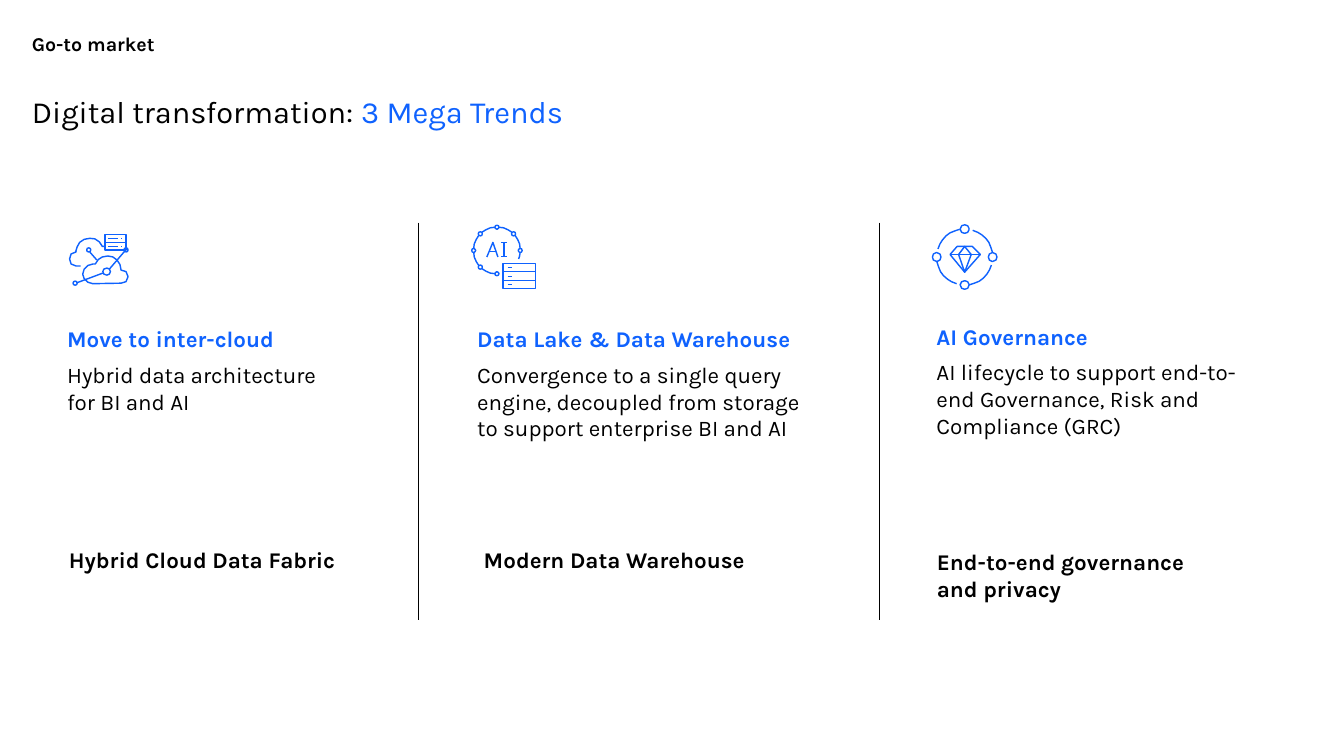
from math import ceil, cos, radians, sin

from lxml import etree
from pptx import Presentation
from pptx.dml.color import RGBColor
from pptx.enum.shapes import MSO_CONNECTOR
from pptx.enum.text import MSO_ANCHOR, MSO_AUTO_SIZE, PP_ALIGN
from pptx.oxml.ns import qn
from pptx.util import Pt

STRAIGHT = MSO_CONNECTOR.STRAIGHT
TOP, LEFT, FIXED = MSO_ANCHOR.TOP, PP_ALIGN.LEFT, MSO_AUTO_SIZE.NONE

# Content: a paragraph is a list of (text, colour, bold) runs
FONT = "Karla"
COLORS = {"black": "000000", "blue": "0F62FE"}
HEADER = [[("Go-to market", "black", True)]]
TITLE = [[("Digital transformation: ", "black", False),
          ("3 Mega Trends", "blue", False)]]
TRENDS = [
    {"head": "Move to inter-cloud",
     "body": "Hybrid data architecture for BI and AI",
     "label": "Hybrid Cloud Data Fabric",
     "text at": (95.8, 465, 396, 345), "label at": (91.4, 777, 396, 46),
     "icon": "cloud", "icon at": (98, 334)},
    {"head": "Data Lake & Data Warehouse",
     "body": "Convergence to a single query engine, decoupled from storage "
             "to support enterprise BI and AI",
     "label": "Modern Data Warehouse",
     "text at": (681.8, 465, 490, 343), "label at": (684, 777, 396, 46),
     "icon": "server", "icon at": (672.5, 320.4)},
    {"head": "AI Governance",
     "body": "AI lifecycle to support end-to-end Governance, Risk and "
             "Compliance (GRC)",
     "label": "End-to-end governance and privacy",
     "text at": (1337.8, 461.5, 461.5, 345.6),
     "label at": (1331.3, 779, 396, 85),
     "icon": "gem", "icon at": (1331.3, 320.4)},
]
DIVIDERS = (597.6, 1256.4)
SPAN = (318.2, 885.6)


# Outlines for the icons, as lists of points on a 0.72 pt grid
def arc(x, y, r, start, end):
    sweep = radians(end - start)
    steps = ceil(max((end - start) / 45, r * sweep / 12))
    turns = [radians(start) + sweep * i / steps for i in range(steps + 1)]
    return [(x + r * cos(t), y + r * sin(t)) for t in turns]


def ring(x, y, r):
    return arc(x, y, r, 0, 360)


def box(x, y, right, low):
    return [(x, y), (right, y), (right, low), (x, low), (x, y)]


def dash(x, right, y):
    return [(x, y), (right, y)]


def cloud():
    front = (arc(48, 79.5, 19.5, 90, 270) + arc(77, 71, 27, 205, 360)
             + arc(104, 85, 13.5, -90, 90))
    back = ([(24, 63.5)] + arc(15, 50, 13.5, 90, 270)
            + arc(42, 36, 27.5, 180, 336) + [(71, 25)])
    rack = [box(71.5, 1, 114, 32.5), dash(71.5, 114, 17)]
    for y in (9, 25):
        rack += [dash(79, 98, y), dash(105, 107, y)]
    nodes = [ring(x, y, 4) for x, y in ((114, 32), (40, 32), (13, 98))]
    links = [[(17, 97), (68, 78)], [(81, 70), (111, 35)], [(42, 36), (56, 52)]]
    return [front + front[:1], back, ring(75.5, 75, 7.5)] + rack + nodes + links


def server():
    mid, r, gap = 52, 46.5, 5.5
    stops = (90, 135, 180, 225, 270, 315, 360)
    lines = [arc(mid, mid, r, a + gap, b - gap)
             for a, b in zip(stops, stops[1:])]
    lines.append(arc(mid, mid, r, gap, 22))
    for a in stops:
        lines.append(ring(mid + r * cos(radians(a)),
                          mid + r * sin(radians(a)), 4))
    # Letters
    lines += [[(32.5, 65), (43.5, 36), (54.5, 65)], dash(37, 50, 54.5),
              dash(60, 72, 36.5), [(66, 36.5), (66, 63.5)], dash(60, 72, 63.5)]
    # Rack of three units
    lines.append(box(64.5, 77.5, 128.5, 128.5))
    lines += [dash(64.5, 128.5, 77.5 + 17 * i) for i in (1, 2)]
    return lines + [dash(73, 82, 86.5 + 17 * i) for i in range(3)]


def gem():
    mid, r = 65, 55.5
    lines = [arc(mid, mid, r, a, a + 63) for a in (17, 107, 197, 287)]
    lines += [ring(mid + x * r, mid + y * r, 8.5)
              for x, y in ((1, 0), (0, 1), (-1, 0), (0, -1))]
    rim = [(35.5, 60.5), (50, 43.5), (80, 43.5), (95.5, 60.5), (65, 95)]
    facet = [(53, 60.5), (65, 95), (78, 60.5), (65, 44), (53, 60.5)]
    return lines + [rim + rim[:1], facet, dash(35.5, 95.5, 60.5)]


ICONS = {"cloud": cloud, "server": server, "gem": gem}


def tint(name):
    return RGBColor.from_string(COLORS[name])


def write(shape, paras, size, inset=(0, 0)):
    frame = shape.text_frame
    frame.word_wrap, frame.auto_size = True, FIXED
    frame.vertical_anchor = TOP
    frame.margin_left = frame.margin_right = Pt(inset[0])
    frame.margin_top = frame.margin_bottom = Pt(inset[1])
    for i, runs in enumerate(paras):
        para = frame.add_paragraph() if i else frame.paragraphs[0]
        para.alignment = LEFT
        para.space_before = Pt(12 if i else 0)
        for text, color, bold in runs:
            run = para.add_run()
            run.text = text
            font = run.font
            font.name, font.size, font.bold = FONT, Pt(size), bold
            font.color.rgb = tint(color)


def add_text(slide, at, paras, size, inset=(0, 0)):
    write(slide.shapes.add_textbox(*map(Pt, at)), paras, size, inset)


def add_icon(slide, lines, at):
    first, *rest = lines
    pen = slide.shapes.build_freeform(*first[0], scale=Pt(0.72))
    pen.add_line_segments(first[1:], close=False)
    for line in rest:
        pen.move_to(*line[0])
        pen.add_line_segments(line[1:], close=False)
    shape = pen.convert_to_shape(*map(Pt, at))
    shape.shadow.inherit = False
    shape.fill.background()
    shape.line.color.rgb = tint("blue")
    shape.line.width = Pt(2)


def main():
    deck = Presentation()
    deck.slide_width, deck.slide_height = Pt(1920), Pt(1080)
    slide = deck.slides.add_slide(deck.slide_layouts[5])

    # Title and header
    title = slide.shapes.title
    title.left, title.top, title.width, title.height = map(
        Pt, (45.4, 132.5, 1012, 125))
    write(title, TITLE, 44)
    add_text(slide, (45.4, 45.4, 570, 65), HEADER, 28)

    # Trend columns
    for trend in TRENDS:
        add_text(slide, trend["text at"],
                 [[(trend["head"], "blue", True)],
                  [(trend["body"], "black", False)]], 32)
        add_text(slide, trend["label at"],
                 [[(trend["label"], "black", True)]], 32, (7.2, 3.6))
        add_icon(slide, ICONS[trend["icon"]](), trend["icon at"])

    # Dividers
    for x in DIVIDERS:
        rule = slide.shapes.add_connector(
            STRAIGHT, Pt(x), Pt(SPAN[0]), Pt(x), Pt(SPAN[1]))
        rule.line.color.rgb = tint("black")
        rule.line.width = Pt(0.5)
        etree.SubElement(rule._element.spPr, qn("a:effectLst"))

    deck.save("out.pptx")


if __name__ == "__main__":
    main()
